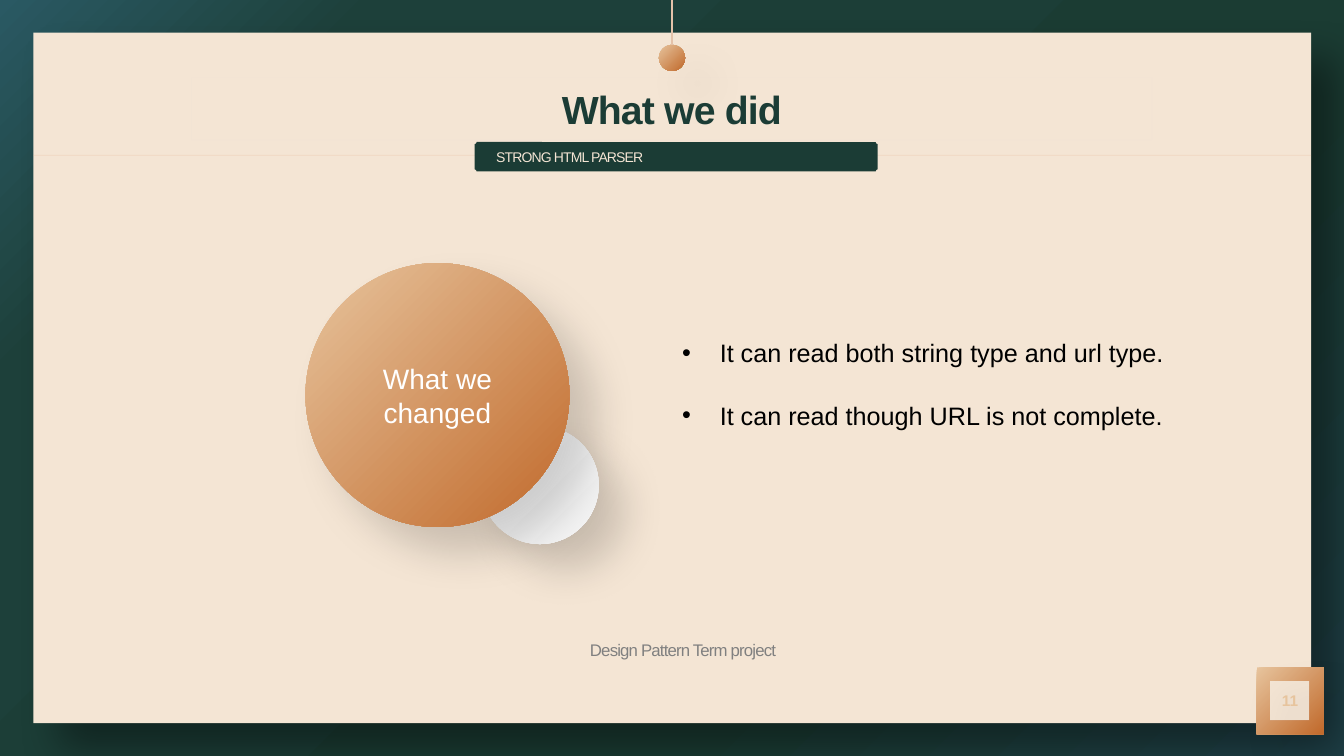
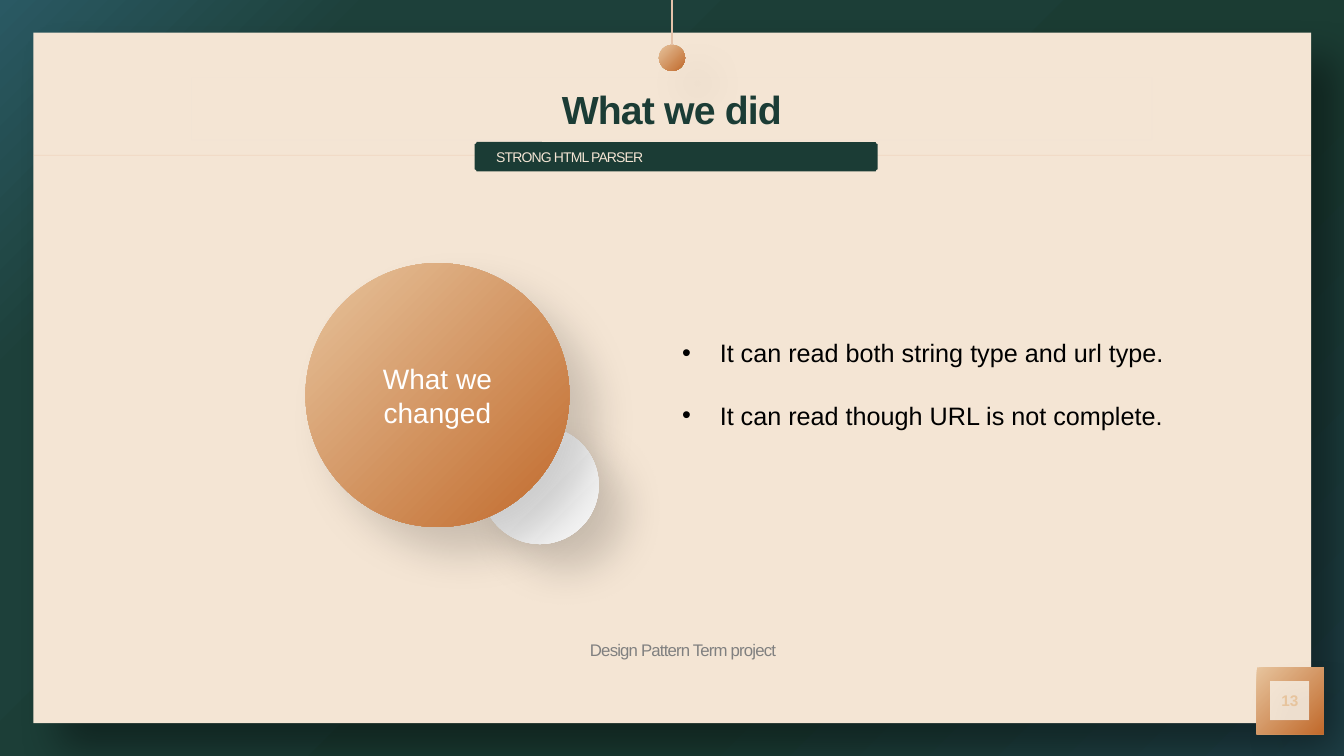
from dataclasses import dataclass
from typing import Any, Optional

from lxml import etree
from pptx import Presentation
from pptx import util as u
from pptx.dml.color import RGBColor
from pptx.enum import shapes, text
from pptx.oxml import ns

COLORS = {
    "panel": "F4E5D4", "green": "1B3C35", "rule": "E3AB83", "cord": "E4C2A9",
    "copper_light": "E7C49D", "copper_dark": "C16A2C", "white": "FFFFFF",
    "pearl": "F2F2F2", "outline": "D9D9D9", "grey": "808080", "black": "000000",
}
COPPER = ("copper_light", "copper_dark")
PEARL = ("white", "pearl")
BACKDROP = [(0, "1F4148"), (33, "1B3C33"), (82, "1D403A"), (100, "2A5963")]
FONT = "Arial"
TIGHT = -0.6
SLIDE_W, SLIDE_H = 33.87, 19.05
CENTER = SLIDE_W / 2

PRESET = shapes.MSO_SHAPE
ALIGN = text.PP_ALIGN


@dataclass(frozen=True)
class Box:
    left: float
    top: float
    width: float
    height: float

    def emu(self) -> list[u.Cm]:
        return [u.Cm(v) for v in (self.left, self.top, self.width, self.height)]


@dataclass(frozen=True)
class Block:
    """A filled preset shape; two fill names make a diagonal gradient."""
    preset: Any
    box: Box
    fill: tuple[str, ...]
    adjust: Optional[float] = None
    shadow: int = 0


@dataclass(frozen=True)
class Rule:
    start: tuple[float, float]
    end: tuple[float, float]
    color: str
    width: float
    opacity: int = 100


@dataclass(frozen=True)
class Page:
    title: str
    subtitle: str
    topic: str
    points: tuple[str, ...]
    footer: str
    number: str


# Shared frame of every slide
PANEL = Box(0.84, 0.82, 32.2, 17.4)
BADGE = Box(31.67, 16.82, 1.68, 1.68)
BEAD = 0.66
RULE_Y = 3.91
SHARED = [
    Block(PRESET.ROUNDED_RECTANGLE, PANEL, ("panel",), 0, 40),
    Rule((PANEL.left, RULE_Y), (PANEL.left + PANEL.width, RULE_Y), "rule", 0.5, 24),
    Block(PRESET.FRAME, BADGE, COPPER, 0.2, 8),
    Block(PRESET.OVAL, Box(CENTER - BEAD / 2, 1.13, BEAD, BEAD), COPPER, None, 8),
    Rule((CENTER, 1.13), (CENTER, 0), "cord", 1),
]

# Parts of the content
TITLE = Box(4.83, 1.96, 24.2, 1.57)
FOOTER = Box(4.17, 14.3, 26.09, 4.04)
POINTS = Box(16.94, 8.38, 13.84, 5.64)
SUBTITLE = Block(PRESET.PLAQUE, Box(11.96, 3.58, 10.16, 0.74), ("green",), 0.07)
SMALL_DISC = Block(PRESET.OVAL, Box(12.12, 10.74, 2.97, 2.97), PEARL, None, 17)
TOPIC_DISC = Block(PRESET.OVAL, Box(7.7, 6.63, 6.65, 6.65), COPPER, None, 17)


def rgb(name: str) -> RGBColor:
    return RGBColor.from_string(COLORS[name])


def sub(parent: Any, tag: str, **attributes: Any) -> Any:
    values = {key: str(value) for key, value in attributes.items()}
    return etree.SubElement(parent, ns.qn(tag), values)


def set_line(shape: Any, color: str, width: float, opacity: int) -> None:
    shape.line.color.rgb = rgb(color)
    shape.line.width = u.Pt(width)
    paint = shape.line._get_or_add_ln().find(".//" + ns.qn("a:srgbClr"))
    sub(paint, "a:alpha", val=opacity * 1000)


def set_shadow(shape: Any, opacity: int) -> None:
    effects = sub(shape.element.spPr, "a:effectLst")
    if opacity:
        cast = sub(effects, "a:outerShdw", blurRad=u.Pt(30), dist=u.Pt(26),
                   dir=45 * 60000, algn="tl", rotWithShape=0)
        paint = sub(cast, "a:srgbClr", val=COLORS["black"])
        sub(paint, "a:alpha", val=opacity * 1000)


def add_block(slide: Any, block: Block) -> Any:
    shape = slide.shapes.add_shape(block.preset, *block.box.emu())
    if block.adjust is not None:
        shape.adjustments[0] = block.adjust
    if len(block.fill) == 1:
        shape.fill.solid()
        shape.fill.fore_color.rgb = rgb(block.fill[0])
    else:
        shape.fill.gradient()
        shape.fill.gradient_angle = 315
        for stop, color in zip(shape.fill.gradient_stops, block.fill):
            stop.color.rgb = rgb(color)
    shape.line.fill.background()
    set_shadow(shape, block.shadow)
    return shape


def add_rule(slide: Any, rule: Rule) -> Any:
    ends = [u.Cm(v) for v in rule.start + rule.end]
    line = slide.shapes.add_connector(shapes.MSO_CONNECTOR.STRAIGHT, *ends)
    set_line(line, rule.color, rule.width, rule.opacity)
    set_shadow(line, 0)
    return line


def write(shape: Any, *lines: str, size: float, color: str, bold: bool = False,
          align: Any = ALIGN.CENTER, anchor: Any = text.MSO_ANCHOR.MIDDLE,
          insets: tuple[float, float] = (0.25, 0.13), tracking: float = 0,
          leading: float = 1.0, gap: float = 0, bullet: str = "") -> None:
    frame = shape.text_frame
    frame.text = "\n".join(lines)
    frame.word_wrap = True
    frame.auto_size = text.MSO_AUTO_SIZE.NONE
    frame.vertical_anchor = anchor
    frame.margin_left = frame.margin_right = u.Cm(insets[0])
    frame.margin_top = frame.margin_bottom = u.Cm(insets[1])
    for paragraph in frame.paragraphs:
        paragraph.alignment = align
        paragraph.line_spacing = leading
        paragraph.space_after = u.Pt(gap)
        if bullet:
            properties = paragraph._p.get_or_add_pPr()
            properties.set("marL", str(u.Cm(0.95)))
            properties.set("indent", str(u.Cm(-0.95)))
            sub(properties, "a:buFont", typeface=FONT)
            sub(properties, "a:buChar", char=bullet)
        for run in paragraph.runs:
            run.font.name = FONT
            run.font.size = u.Pt(size)
            run.font.bold = bold
            run.font.color.rgb = rgb(color)
            if tracking:
                run.font._element.set("spc", str(round(tracking * 100)))


def add_text(slide: Any, box: Box, *lines: str, **style: Any) -> None:
    write(slide.shapes.add_textbox(*box.emu()), *lines, **style)


def paint_backdrop(layout: Any) -> None:
    layout.background.fill.solid()
    properties = layout.element.find(".//" + ns.qn("p:bgPr"))
    properties.remove(properties[0])
    gradient = sub(properties, "a:gradFill", rotWithShape=1)
    stops = sub(gradient, "a:gsLst")
    for position, color in BACKDROP:
        sub(sub(stops, "a:gs", pos=position * 1000), "a:srgbClr", val=color)
    circle = sub(gradient, "a:path", **{"path": "circle"})
    sub(circle, "a:fillToRect", l=100000, t=100000)
    properties.insert(0, gradient)


def furnish_layout(layout: Any, slide: Any) -> None:
    """Draw the shared frame and move it to the layout."""
    for holder in list(layout.placeholders):
        if holder.placeholder_format.type != shapes.PP_PLACEHOLDER.TITLE:
            holder.element.getparent().remove(holder.element)
    paint_backdrop(layout)
    tree = layout.element.cSld.spTree
    for part in SHARED:
        drawn = add_block(slide, part) if isinstance(part, Block) else add_rule(slide, part)
        tree.append(drawn.element)


def fill_slide(slide: Any, page: Page) -> None:
    # Heading
    title = slide.shapes.title
    title.left, title.top, title.width, title.height = TITLE.emu()
    set_line(title, "outline", 0.25, 5)
    write(title, page.title, size=28, color="green", bold=True,
          insets=(0, 0), tracking=TIGHT)
    add_text(slide, FOOTER, page.footer, size=12, color="grey",
             tracking=TIGHT, leading=1.2)
    write(add_block(slide, SUBTITLE), page.subtitle, size=10, color="panel",
          align=ALIGN.JUSTIFY, insets=(0.51, 0.13), tracking=TIGHT)

    # Topic discs and points
    add_block(slide, SMALL_DISC)
    write(add_block(slide, TOPIC_DISC), page.topic, size=20, color="white")
    add_text(slide, POINTS, *page.points, size=18, color="black", align=ALIGN.LEFT,
             anchor=text.MSO_ANCHOR.TOP, gap=23, bullet="•")

    # Page number
    add_text(slide, BADGE, page.number, size=11, color="copper_light",
             bold=True, insets=(0, 0))


def parser_page(number: str) -> Page:
    return Page(
        title="What we did",
        subtitle="STRONG HTML PARSER",
        topic="What we changed",
        points=("It can read both string type and url type.",
                "It can read though URL is not complete."),
        footer="Design Pattern Term project",
        number=number,
    )


deck = Presentation()
deck.slide_width, deck.slide_height = u.Cm(SLIDE_W), u.Cm(SLIDE_H)
title_only = deck.slide_layouts[5]
for index, page in enumerate(map(parser_page, ("11", "13"))):
    slide = deck.slides.add_slide(title_only)
    if index == 0:
        furnish_layout(title_only, slide)
    fill_slide(slide, page)
deck.save("out.pptx")
